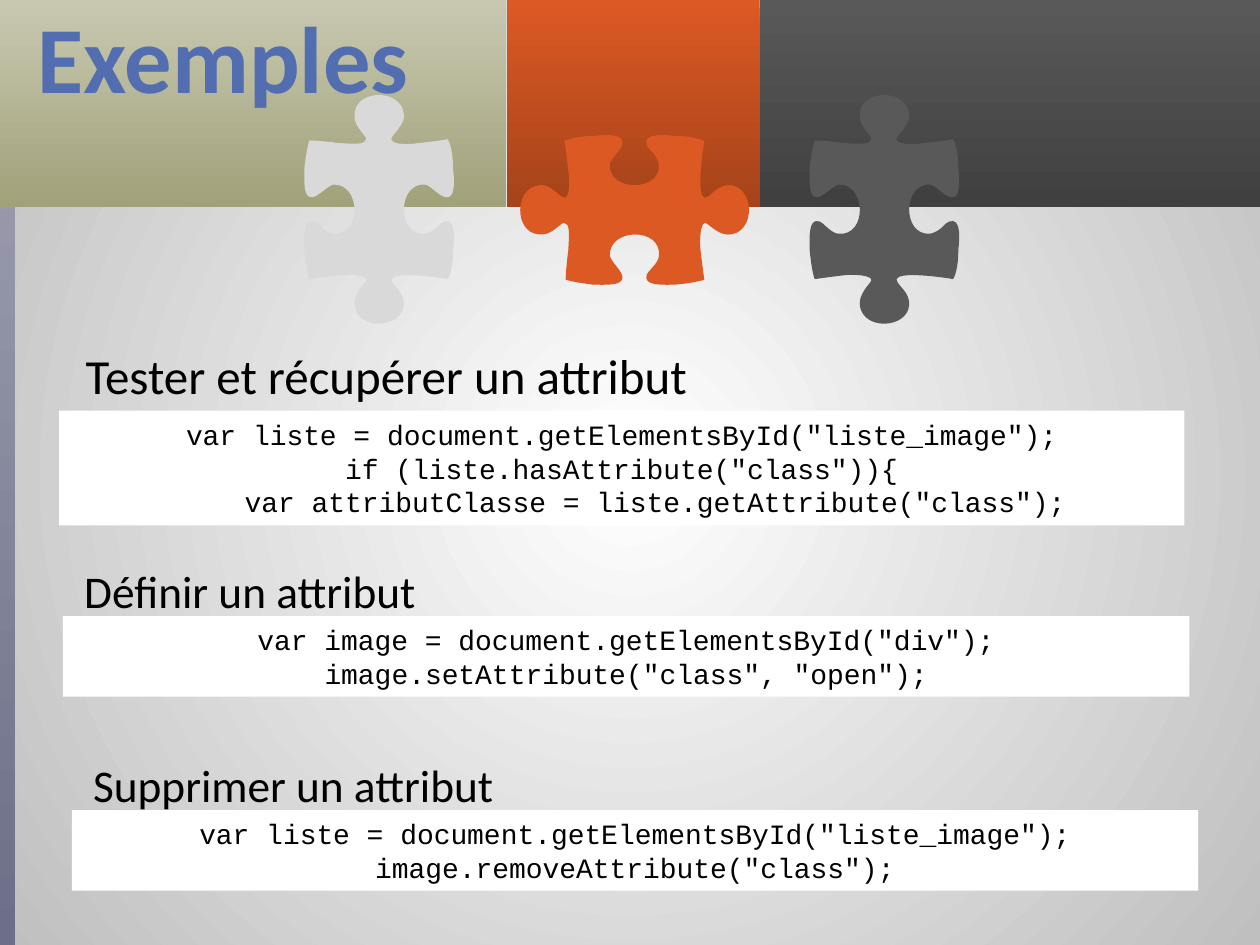
from pptx import Presentation
from pptx.dml.color import RGBColor
from pptx.enum.shapes import MSO_SHAPE as Shape
from pptx.enum.text import MSO_ANCHOR as Anchor, MSO_AUTO_SIZE as AutoSize, PP_ALIGN as Align
from pptx.oxml import parse_xml
from pptx.oxml.ns import nsdecls, qn
from pptx.util import Inches, Pt

WHITE = RGBColor(0xFF, 0xFF, 0xFF)
BLACK = RGBColor(0x00, 0x00, 0x00)
SILVER = RGBColor(0xBF, 0xBF, 0xBF)
TITLE_BLUE = RGBColor(0x52, 0x6D, 0xB0)
BAR_LIGHT = RGBColor(0xA2, 0xA4, 0xB4)
BAR_DARK = RGBColor(0x6C, 0x6F, 0x87)
OLIVE_LIGHT = RGBColor(0xC8, 0xC8, 0xB1)
OLIVE_DARK = RGBColor(0xA1, 0xA1, 0x7A)
ORANGE = RGBColor(0xDC, 0x59, 0x24)
ORANGE_DARK = RGBColor(0xA6, 0x43, 0x1A)
GRAY = RGBColor(0x59, 0x59, 0x59)
GRAY_DARK = RGBColor(0x40, 0x40, 0x40)
PIECE_GRAY = RGBColor(0xD9, 0xD9, 0xD9)

BANDS = [
    ((0, 0, 0.12, 7.5), BAR_LIGHT, BAR_DARK),
    ((0, 0, 4.02, 1.64), OLIVE_LIGHT, OLIVE_DARK),
    ((4.02, 0, 2.01, 1.64), ORANGE, ORANGE_DARK),
    ((6.03, 0, 3.97, 1.64), GRAY, GRAY_DARK),
]
PIECES = [
    ((2.05, 1.06, 1.92, 1.21), PIECE_GRAY, 90),
    ((4.08, 1.06, 1.92, 1.21), ORANGE, 0),
    ((6.06, 1.06, 1.92, 1.21), GRAY, 90),
]
OUTLINE_START = (5.59, 1.12)
OUTLINE_CURVES = [
    ((5.57, 1.24), (5.53, 1.55), (5.59, 1.57)),
    ((5.64, 1.57), (5.69, 1.46), (5.8, 1.47)),
    ((5.98, 1.49), (6, 1.82), (5.81, 1.86)),
    ((5.71, 1.88), (5.63, 1.78), (5.6, 1.77)),
    ((5.56, 1.76), (5.55, 1.91), (5.56, 1.99)),
    ((5.57, 2.07), (5.58, 2.15), (5.59, 2.22)),
    ((5.53, 2.24), (5.45, 2.25), (5.36, 2.26)),
    ((5.28, 2.26), (5.14, 2.27), (5.13, 2.21)),
    ((5.12, 2.17), (5.17, 2.14), (5.18, 2.12)),
    ((5.2, 2.1), (5.23, 2.06), (5.23, 2.03)),
    ((5.25, 1.8), (4.83, 1.81), (4.84, 2.03)),
    ((4.85, 2.08), (4.95, 2.16), (4.94, 2.21)),
    ((4.93, 2.27), (4.8, 2.26), (4.71, 2.26)),
    ((4.64, 2.25), (4.55, 2.24), (4.49, 2.22)),
    ((4.49, 2.16), (4.5, 2.07), (4.51, 1.99)),
    ((4.52, 1.83), (4.52, 1.78), (4.48, 1.77)),
    ((4.45, 1.76), (4.38, 1.88), (4.27, 1.86)),
    ((4.08, 1.84), (4.08, 1.49), (4.28, 1.47)),
    ((4.32, 1.46), (4.37, 1.49), (4.39, 1.51)),
    ((4.42, 1.52), (4.45, 1.57), (4.48, 1.57)),
    ((4.53, 1.56), (4.52, 1.41), (4.51, 1.35)),
    ((4.5, 1.25), (4.49, 1.18), (4.48, 1.12)),
    ((4.54, 1.09), (4.63, 1.08), (4.71, 1.08)),
    ((4.79, 1.07), (4.93, 1.06), (4.94, 1.12)),
    ((4.95, 1.18), (4.85, 1.25), (4.84, 1.3)),
    ((4.82, 1.52), (5.24, 1.53), (5.23, 1.31)),
    ((5.23, 1.28), (5.2, 1.23), (5.18, 1.21)),
    ((5.17, 1.2), (5.12, 1.16), (5.13, 1.12)),
    ((5.14, 1.06), (5.28, 1.07), (5.36, 1.08)),
    ((5.45, 1.08), (5.53, 1.09), (5.59, 1.12)),
]

GET_CODE = [
    'var liste = document.getElementsById("liste_image");',
    'if (liste.hasAttribute("class")){',
    '    var attributClasse = liste.getAttribute("class");',
]
SET_CODE = [
    'var image = document.getElementsById("div");',
    'image.setAttribute("class", "open");',
]
REMOVE_CODE = [
    'var liste = document.getElementsById("liste_image");',
    'image.removeAttribute("class");',
]


def place(shape, box):
    """Move a shape to a box given in inches."""
    shape.left, shape.top, shape.width, shape.height = map(Inches, box)


def fill_gradient(fill, first, last):
    """Give a fill a two-stop gradient."""
    fill.gradient()
    for stop, color in zip(fill.gradient_stops, (first, last)):
        stop.color.rgb = color


def format_runs(paragraph, font_name, size, color, bold=False):
    """Set the font of every run in a paragraph."""
    for run in paragraph.runs:
        run.font.name = font_name
        run.font.size = Pt(size)
        run.font.bold = bold
        run.font.color.rgb = color


def set_background(slide):
    """Fill the slide with a round glow from the centre."""
    fill_gradient(slide.background.fill, WHITE, SILVER)
    gradient = slide.element.find(f".//{qn('a:gradFill')}")
    gradient.replace(gradient.find(qn("a:lin")), parse_xml(
        f'<a:path {nsdecls("a")} path="circle">'
        '<a:fillToRect l="50000" t="50000" r="50000" b="50000"/></a:path>'))


def add_band(slide, box, top_color, bottom_color):
    """Add a rectangle shaded from top to bottom."""
    band = slide.shapes.add_shape(Shape.RECTANGLE, *map(Inches, box))
    band.shadow.inherit = False
    band.line.fill.background()
    fill_gradient(band.fill, top_color, bottom_color)
    band.fill.gradient_angle = 270


def bend_segments(shape):
    """Turn each three line segments of a freeform into one curve."""
    segments = list(shape.element.iter(qn("a:lnTo")))
    for index in range(0, len(segments), 3):
        curve = parse_xml(f'<a:cubicBezTo {nsdecls("a")}/>')
        segments[index].addprevious(curve)
        for segment in segments[index:index + 3]:
            curve.append(segment[0])
            segment.getparent().remove(segment)


def add_piece(slide, box, color, rotation):
    """Add a puzzle piece in a box, turned by the rotation."""
    points = [OUTLINE_START] + [point for curve in OUTLINE_CURVES for point in curve]
    vertices = [(Inches(x), Inches(y)) for x, y in points]
    builder = slide.shapes.build_freeform(*vertices[0])
    builder.add_line_segments(vertices[1:], close=True)
    piece = builder.convert_to_shape()
    bend_segments(piece)
    place(piece, box)
    piece.rotation = rotation
    piece.shadow.inherit = False
    piece.fill.solid()
    piece.fill.fore_color.rgb = color
    piece.line.fill.background()


def set_title(slide, box):
    """Write the title and bring it in front of the header."""
    title = slide.shapes.title
    slide.shapes.element.append(title.element)
    place(title, box)
    title.text_frame.text = "Exemples"
    title.text_frame.vertical_anchor = Anchor.MIDDLE
    paragraph = title.text_frame.paragraphs[0]
    paragraph.alignment = Align.LEFT
    paragraph.line_spacing = 0.9
    format_runs(paragraph, "Calibri", 54, TITLE_BLUE, bold=True)


def set_heading(shape, text, size, line_spacing):
    """Write a section heading without a bullet."""
    shape.text_frame.text = text
    shape.text_frame.word_wrap = True
    paragraph = shape.text_frame.paragraphs[0]
    paragraph.line_spacing = line_spacing
    paragraph.space_before = Pt(10)
    properties = paragraph._p.get_or_add_pPr()
    properties.set("marL", "0")
    properties.set("indent", "0")
    properties.append(parse_xml(f'<a:buNone {nsdecls("a")}/>'))
    format_runs(paragraph, "Calibri", size, BLACK)


def add_code(slide, box, lines):
    """Add a white panel with centred lines of code."""
    panel = slide.shapes.add_shape(Shape.RECTANGLE, *map(Inches, box))
    panel.shadow.inherit = False
    panel.fill.solid()
    panel.fill.fore_color.rgb = WHITE
    panel.line.fill.background()
    panel.text_frame.word_wrap = True
    panel.text_frame.auto_size = AutoSize.SHAPE_TO_FIT_TEXT
    panel.text_frame.text = "\n".join(lines)
    for paragraph in panel.text_frame.paragraphs:
        paragraph.alignment = Align.CENTER
        format_runs(paragraph, "Courier New", 16, BLACK)


def add_section(slide, left, top, heading, lines):
    """Add a smaller heading with its code panel below."""
    box = map(Inches, (left + 0.07, top, 9.15, 0.43))
    set_heading(slide.shapes.add_textbox(*box), heading, 25.9, 0.7)
    add_code(slide, (left, top + 0.35, 8.94, 0.64), lines)


def main():
    """Build the slide and save it."""
    presentation = Presentation()
    presentation.slide_width, presentation.slide_height = Inches(10), Inches(7.5)
    slide = presentation.slides.add_slide(presentation.slide_layouts[1])
    set_background(slide)
    for band in BANDS:
        add_band(slide, *band)
    for piece in PIECES:
        add_piece(slide, *piece)
    set_title(slide, (0.2, 0.05, 9.61, 0.9))
    body = slide.placeholders[1]
    slide.shapes.element.append(body.element)
    place(body, (0.58, 2.78, 8.62, 0.49))
    set_heading(body, "Tester et récupérer un attribut", 28, 0.8)
    add_code(slide, (0.47, 3.26, 8.93, 0.91), GET_CODE)
    add_section(slide, 0.5, 4.54, "Définir un attribut", SET_CODE)
    add_section(slide, 0.57, 6.08, "Supprimer un attribut", REMOVE_CODE)
    presentation.save("out.pptx")


if __name__ == "__main__":
    main()
